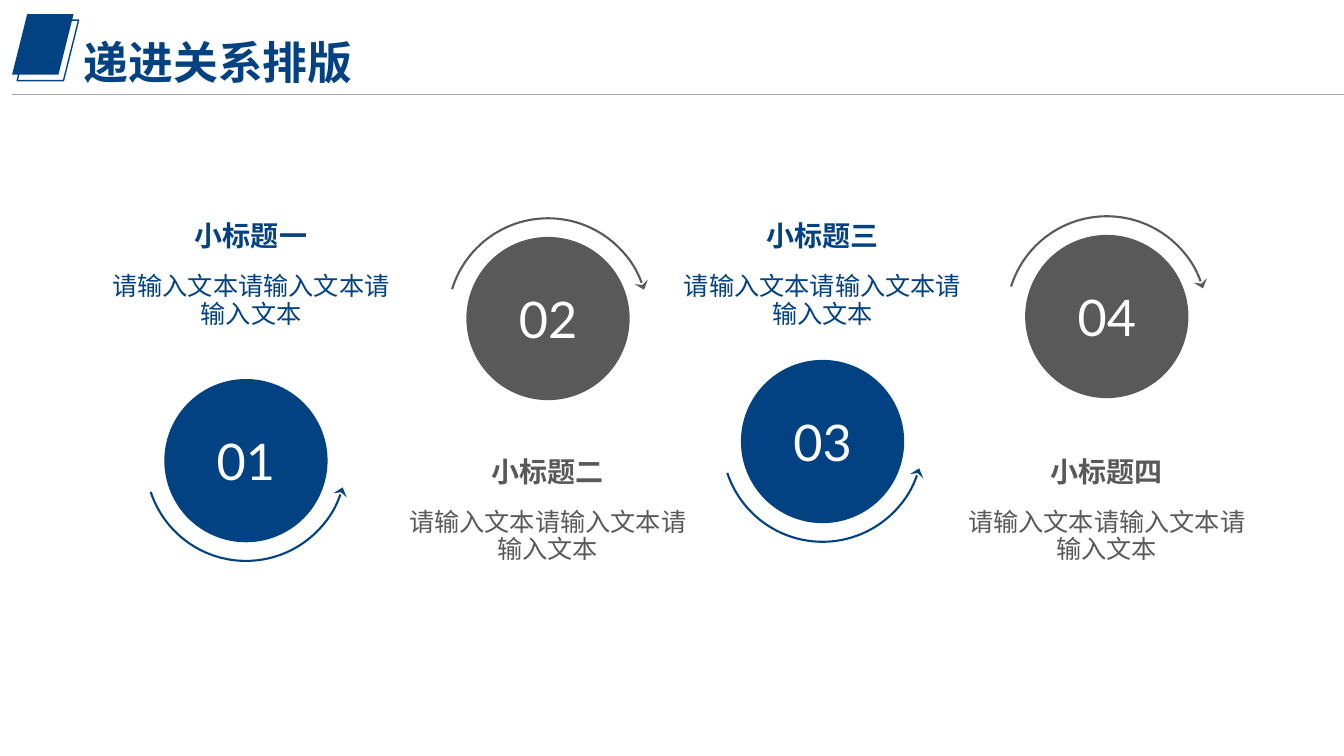
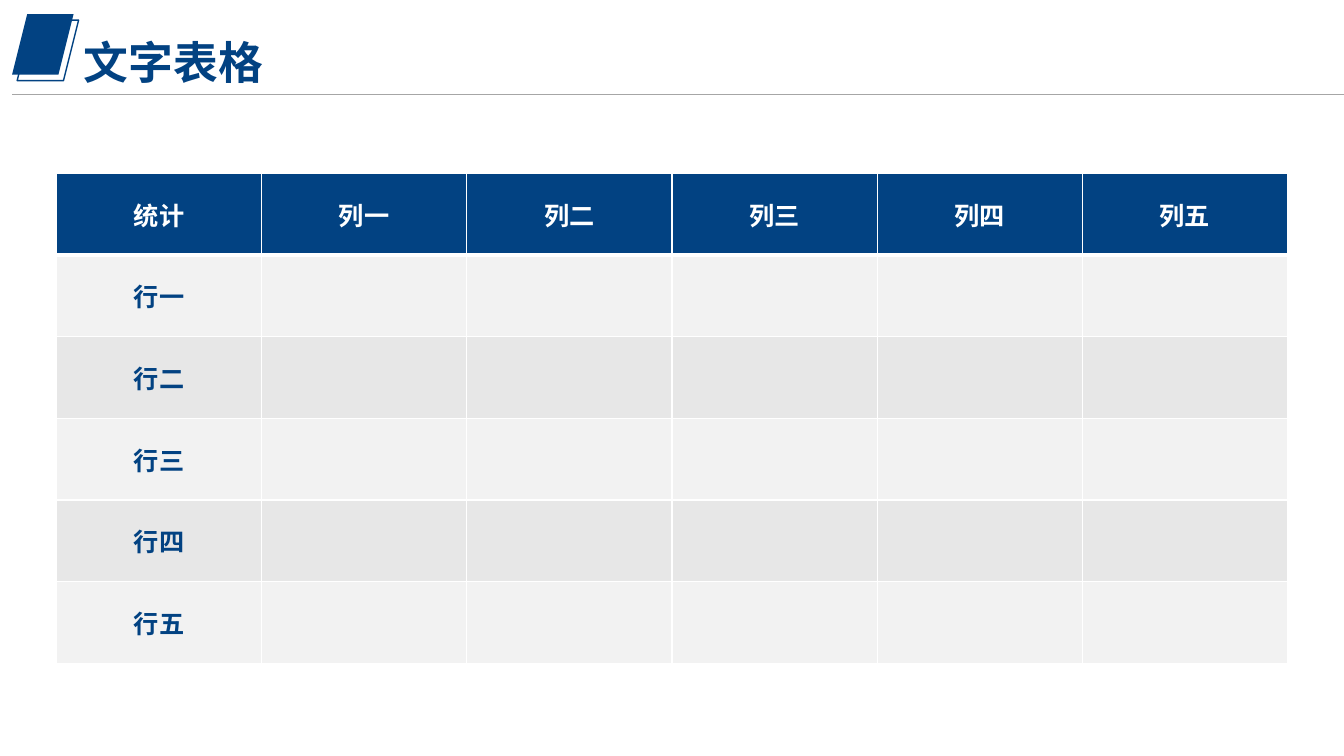
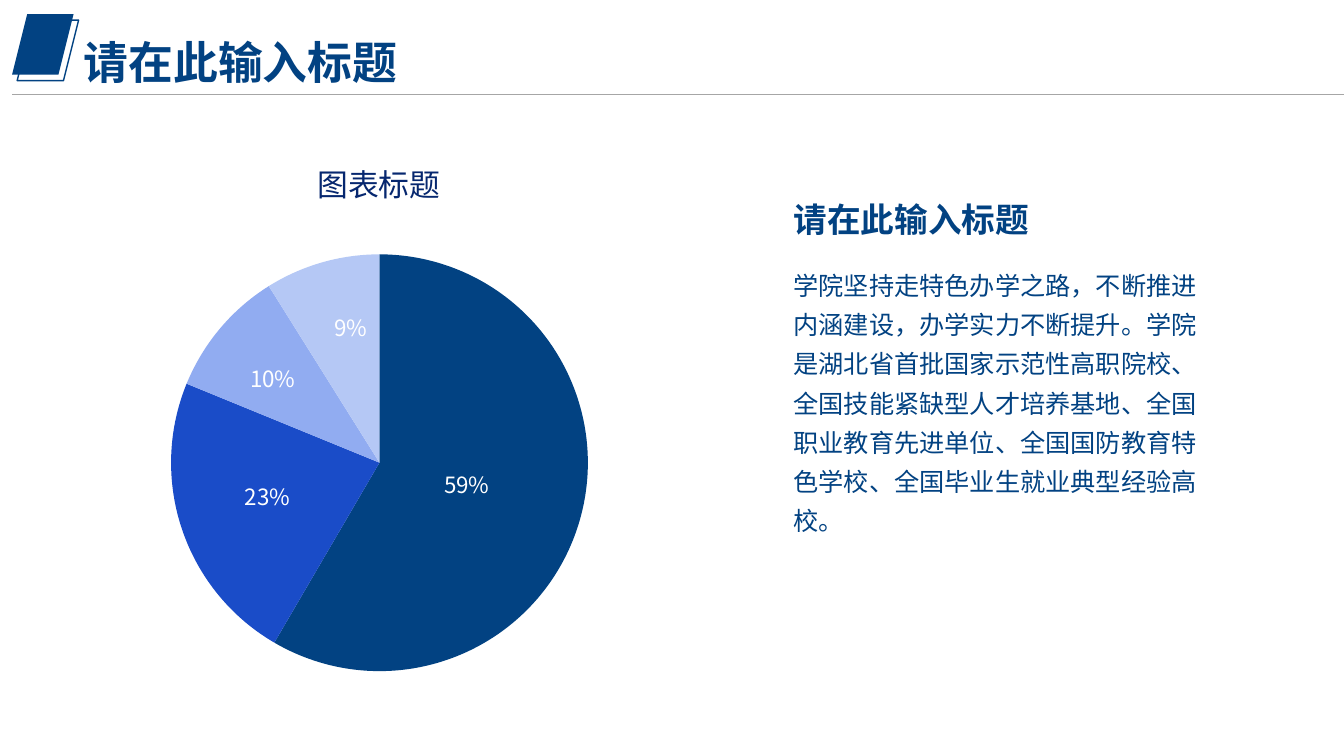
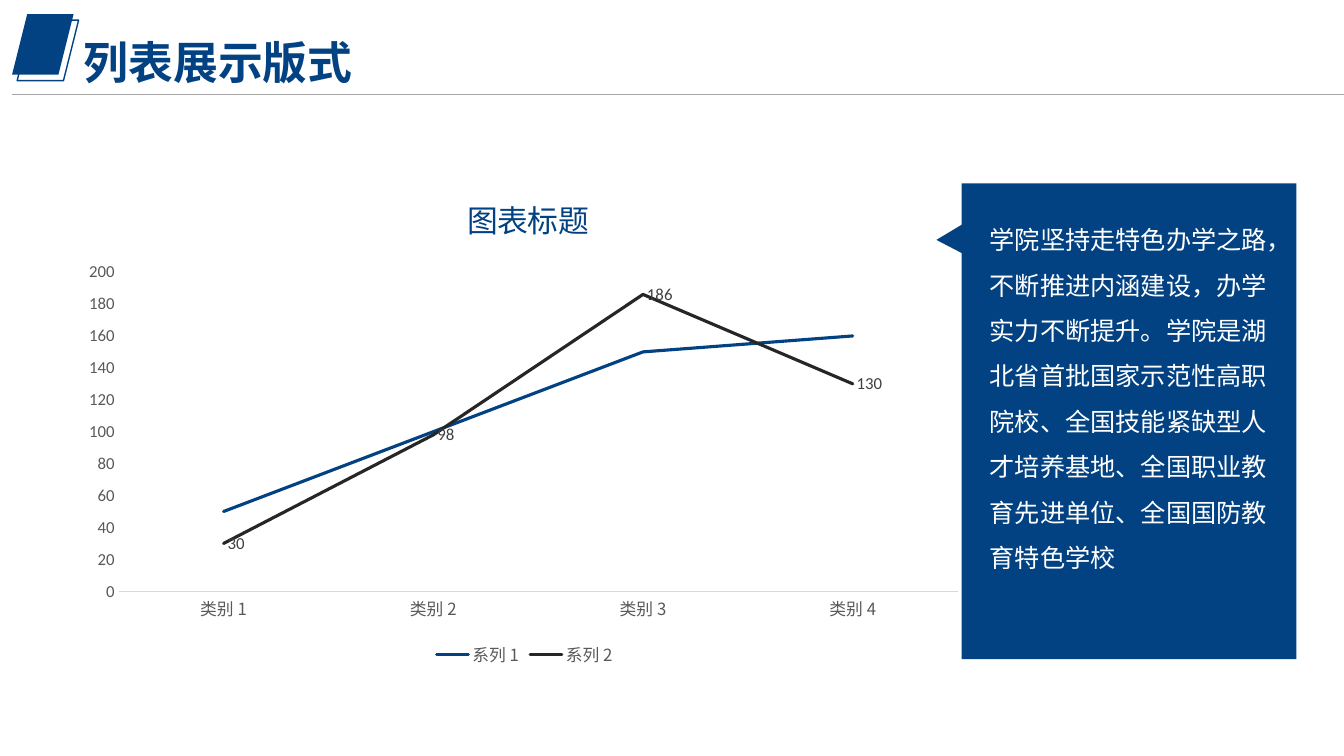
from copy import deepcopy
from dataclasses import dataclass

from lxml import etree
from pptx import Presentation, util as u
from pptx.chart.data import CategoryChartData
from pptx.dml.color import RGBColor
from pptx.enum import chart as charts, shapes, text
from pptx.oxml.ns import qn


@dataclass(frozen=True)
class Theme:
    blue: str = "024282"
    gray: str = "595959"
    white: str = "FFFFFF"
    rule: str = "A6A6A6"
    axis: str = "D9D9D9"
    ink: str = "262626"
    label: str = "404040"
    navy: str = "06276F"
    bands: tuple = ("F2F2F2", "E7E7E7")
    slices: tuple = ("024282", "1A4CC8", "91ACF1", "B5C8F5")
    chinese: str = "Noto Sans CJK SC"
    numerals: str = "Lato"
    figures: str = "Calibri"
    title: int = 32
    number: int = 36
    heading: int = 24
    chart_title: int = 22
    subtitle: int = 20
    body: int = 18
    percent: int = 16
    small: int = 12
    tight: float = 0.9


theme = Theme()
COLUMNS, ROWS = 40, 22.5
UNIT = u.Inches(13.333) / COLUMNS


def grid(*lengths):
    """Turn lengths in grid units into EMU."""
    return [u.Emu(round(length * UNIT)) for length in lengths]


def write(holder, words, size, color, bold=False, align=text.PP_ALIGN.LEFT,
          spacing=1.0, face=theme.chinese):
    """Put one formatted paragraph into anything that has a text frame."""
    frame = holder.text_frame
    frame.text = words
    frame.word_wrap = True
    paragraph = frame.paragraphs[0]
    paragraph.alignment = align
    paragraph.line_spacing = spacing
    for run in paragraph.runs:
        run.font.size = u.Pt(size)
        run.font.bold = bold
        run.font.name = face
        run.font.color.rgb = RGBColor.from_string(color)
        latin = run._r.rPr.find(qn("a:latin"))
        latin.addnext(latin.makeelement(qn("a:ea"), {"typeface": face}))


presentation = Presentation()
presentation.slide_width, presentation.slide_height = grid(COLUMNS, ROWS)
layout = presentation.slide_layouts[5]
for placeholder in list(layout.placeholders):
    if placeholder.placeholder_format.idx:
        layout.shapes.element.remove(placeholder.element)

# Slides and their titles
slides = []
for heading in ("递进关系排版", "文字表格", "请在此输入标题", "列表展示版式"):
    slide = presentation.slides.add_slide(layout)
    title = slide.shapes.title
    title.left, title.top, title.width, title.height = grid(2.19, 1.05, 16.53, 2.01)
    write(title, heading, theme.title, theme.blue, True, spacing=theme.tight)
    title.text_frame.vertical_anchor = text.MSO_ANCHOR.TOP
    title.text_frame.auto_size = text.MSO_AUTO_SIZE.NONE
    slides.append(slide)
steps_slide, table_slide, pie_slide, line_slide = slides

# Header band, kept on the layout
for left, top, filled in ((0.36, 0.42, True), (0.51, 0.6, False)):
    badge = steps_slide.shapes.add_shape(shapes.MSO_SHAPE.PARALLELOGRAM,
                                         *grid(left, top, 1.83, 1.8))
    badge.shadow.inherit = False
    if filled:
        badge.fill.solid()
        badge.fill.fore_color.rgb = RGBColor.from_string(theme.blue)
        badge.line.fill.background()
    else:
        badge.fill.background()
        badge.line.color.rgb = RGBColor.from_string(theme.blue)
        badge.line.width = u.Pt(1)
    layout.shapes.element.append(badge.element)
rule = steps_slide.shapes.add_connector(shapes.MSO_CONNECTOR.STRAIGHT,
                                        *grid(0.36, 2.82, COLUMNS, 2.82))
rule.line.color.rgb = RGBColor.from_string(theme.rule)
rule.line.width = u.Pt(0.5)
etree.SubElement(rule.element.spPr, qn("a:effectLst"))
layout.shapes.element.append(rule.element)

# Slide 1: four steps, captions alternating above and below
CIRCLE, ARC = 4.86, 5.97
steps = (
    ("01", "小标题一", 7.32, 13.71, 7.47, 132.4),
    ("02", "小标题二", 16.31, 9.48, 16.3, 46.4),
    ("03", "小标题三", 24.48, 13.14, 24.48, 132.4),
    ("04", "小标题四", 32.94, 9.42, 32.94, 46.8),
)
for index, (number, subtitle, x, y, caption_x, turn) in enumerate(steps):
    raised = index % 2 == 1
    color = theme.gray if raised else theme.blue

    circle = steps_slide.shapes.add_shape(
        shapes.MSO_SHAPE.OVAL, *grid(x - CIRCLE / 2, y - CIRCLE / 2, CIRCLE, CIRCLE))
    circle.shadow.inherit = False
    circle.fill.solid()
    circle.fill.fore_color.rgb = RGBColor.from_string(color)
    circle.line.fill.background()
    write(circle, number, theme.number, theme.white,
          align=text.PP_ALIGN.CENTER, face=theme.numerals)
    circle.text_frame.vertical_anchor = text.MSO_ANCHOR.MIDDLE

    arc = steps_slide.shapes.add_shape(
        shapes.MSO_SHAPE.ARC, *grid(x - ARC / 2, y - ARC / 2, ARC, ARC))
    arc.shadow.inherit = False
    arc.adjustments[0], arc.adjustments[1] = 145.86, 17.63
    arc.rotation = turn
    arc.fill.background()
    arc.line.color.rgb = RGBColor.from_string(color)
    arc.line.width = u.Pt(1.5)
    etree.SubElement(arc.element.spPr.find(qn("a:ln")), qn("a:headEnd"),
                     type="stealth", w="lg", len="med")
    if raised:
        arc.element.spPr.find(qn("a:xfrm")).set("flipH", "1")

    caption_top = 13.5 if raised else 6.48
    for words, size, bold, offset, width, height in (
            (subtitle, theme.subtitle, True, 0, 5.34, 1.44),
            ("请输入文本请输入文本请输入文本", theme.body, False, 1.53, 8.94, 2.34)):
        caption = steps_slide.shapes.add_textbox(
            *grid(caption_x - width / 2, caption_top + offset, width, height))
        write(caption, words, size, color, bold, text.PP_ALIGN.CENTER, theme.tight)

# Slide 2: table with a header row and banded rows
headers = ("统计", "列一", "列二", "列三", "列四", "列五")
row_names = ("行一", "行二", "行三", "行四", "行五")
rows = [headers] + [(name,) + ("",) * 5 for name in row_names]
table = table_slide.shapes.add_table(len(rows), len(headers),
                                     *grid(1.68, 5.16, 36.64, 14.58)).table
for row_index, row in enumerate(rows):
    for column_index, words in enumerate(row):
        cell = table.cell(row_index, column_index)
        cell.margin_left = cell.margin_right = u.Inches(0.14)
        cell.margin_top = cell.margin_bottom = u.Inches(0.07)
        cell.vertical_anchor = text.MSO_ANCHOR.MIDDLE
        for side in ("L", "R", "T", "B"):
            thick = (row_index, side) in ((0, "B"), (1, "T"))
            border = etree.SubElement(cell._tc.tcPr, qn(f"a:ln{side}"),
                                      w=str(u.Pt(3 if thick else 1)))
            paint = etree.SubElement(border, qn("a:solidFill"))
            etree.SubElement(paint, qn("a:srgbClr"), val=theme.white)
        fill = theme.bands[(row_index - 1) % 2] if row_index else theme.blue
        cell.fill.solid()
        cell.fill.fore_color.rgb = RGBColor.from_string(fill)
        if words:
            write(cell, words, theme.body, theme.blue if row_index else theme.white,
                  True, text.PP_ALIGN.CENTER)

# Slide 3: pie chart with text beside it
pie_data = CategoryChartData()
pie_data.categories = ("1", "2", "3", "4")
pie_data.add_series("Series 1", (59, 23, 10, 9))
pie = pie_slide.shapes.add_chart(charts.XL_CHART_TYPE.PIE,
                                 *grid(1.29, 3.99, 20.01, 17.79), pie_data).chart
pie.has_legend = False
pie_series = pie.plots[0].series[0]
pie_labels = pie_series.data_labels
pie_labels.show_value = True
pie_labels.show_percentage = False
pie_labels.number_format = '0"%"'
pie_labels.number_format_is_linked = False
pie_labels.position = charts.XL_LABEL_POSITION.CENTER
pie_labels.font.size = u.Pt(theme.percent)
pie_labels.font.name = theme.chinese
pie_labels.font.color.rgb = RGBColor.from_string(theme.white)

# Each slice has its colour and a label shifted by a share of the chart
label_group = pie_labels._element
for leader in label_group.findall(qn("c:showLeaderLines")):
    leader.set("val", "0")
label_parts = [part for part in label_group if part.tag != qn("c:showLeaderLines")]
label_shifts = ((-0.02, -0.01), (-0.02, 0), (-0.04, -0.03), (0, -0.06))
for index, (color, shift) in enumerate(zip(theme.slices, label_shifts)):
    point = pie_series.points[index]
    point.format.fill.solid()
    point.format.fill.fore_color.rgb = RGBColor.from_string(color)
    point.format.line.fill.background()
    label = label_group.makeelement(qn("c:dLbl"), {})
    label_group.insert(index, label)
    etree.SubElement(label, qn("c:idx"), val=str(index))
    manual = etree.SubElement(etree.SubElement(label, qn("c:layout")),
                              qn("c:manualLayout"))
    for name, share in zip("xy", shift):
        etree.SubElement(manual, qn(f"c:{name}"), val=str(share))
    label.extend(deepcopy(part) for part in label_parts)

pie_heading = pie_slide.shapes.add_textbox(*grid(23.25, 5.76, 7.74, 1.5))
write(pie_heading, "请在此输入标题", theme.heading, theme.blue, True, text.PP_ALIGN.CENTER)
pie_text = pie_slide.shapes.add_textbox(*grid(23.32, 7.62, 12.69, 8.46))
write(pie_text, "学院坚持走特色办学之路，不断推进内涵建设，办学实力不断提升。"
      "学院是湖北省首批国家示范性高职院校、全国技能紧缺型人才培养基地、"
      "全国职业教育先进单位、全国国防教育特色学校、全国毕业生就业典型经验高校。",
      theme.body, theme.blue, spacing=1.3)

# Slide 4: line chart with a callout
line_data = CategoryChartData()
line_data.categories = [f"类别 {number}" for number in range(1, 5)]
line_data.add_series("系列 1", (50, 100, 150, 160))
line_data.add_series("系列 2", (30, 98, 186, 130))
line = line_slide.shapes.add_chart(charts.XL_CHART_TYPE.LINE,
                                   *grid(2.19, 5.13, 26.85, 14.85), line_data).chart
for series, color in zip(line.plots[0].series, (theme.blue, theme.ink)):
    series.smooth = False
    series.marker.style = charts.XL_MARKER_STYLE.NONE
    series.format.line.color.rgb = RGBColor.from_string(color)
    series.format.line.width = u.Pt(2.25)
    next(series._element.iter(qn("a:ln"))).set("cap", "rnd")
line_labels = line.plots[0].series[1].data_labels
line_labels.show_value = True
line_labels.position = charts.XL_LABEL_POSITION.RIGHT

line.has_legend = True
line.legend.position = charts.XL_LEGEND_POSITION.BOTTOM
line.legend.include_in_layout = False
for axis in (line.category_axis, line.value_axis):
    axis.major_tick_mark = axis.minor_tick_mark = charts.XL_TICK_MARK.NONE
    axis.has_major_gridlines = False
line.category_axis.format.line.color.rgb = RGBColor.from_string(theme.axis)
line.category_axis.format.line.width = u.Pt(0.75)
line.value_axis.format.line.fill.background()
line.value_axis.minimum_scale = 0
line.value_axis.maximum_scale = 200
line.value_axis.major_unit = 20
for font, face, color in (
        (line.category_axis.tick_labels.font, theme.chinese, theme.gray),
        (line.value_axis.tick_labels.font, theme.figures, theme.gray),
        (line.legend.font, theme.chinese, theme.gray),
        (line_labels.font, theme.figures, theme.label)):
    font.size = u.Pt(theme.small)
    font.name = face
    font.color.rgb = RGBColor.from_string(color)

outline = [(28.62, 5.46), (38.58, 5.46), (38.58, 19.62), (28.62, 19.62),
           (28.62, 7.53), (27.87, 7.14), (28.62, 6.69)]
corners = [grid(*corner) for corner in outline]
builder = line_slide.shapes.build_freeform(*corners[0])
builder.add_line_segments(corners[1:], close=True)
callout = builder.convert_to_shape()
callout.shadow.inherit = False
callout.fill.solid()
callout.fill.fore_color.rgb = RGBColor.from_string(theme.blue)
callout.line.fill.background()
callout_text = line_slide.shapes.add_textbox(*grid(29.16, 6.09, 8.91, 11.04))
write(callout_text, "学院坚持走特色办学之路，不断推进内涵建设，办学实力不断提升。"
      "学院是湖北省首批国家示范性高职院校、全国技能紧缺型人才培养基地、"
      "全国职业教育先进单位、全国国防教育特色学校",
      theme.body, theme.white, spacing=1.5)

# Both charts: title, places as shares of the chart, East Asian fonts
for chart, color, title_place, plot_place in (
        (pie, theme.navy, (0.4, 0.03), (0.19, 0.2, 0.62, 0.7)),
        (line, theme.blue, (0.43, 0.03), (0.05, 0.2, 0.93, 0.64))):
    chart.plots[0].vary_by_categories = chart is pie
    chart.font.size = u.Pt(10)
    chart.font.name = theme.figures
    chart.has_title = True
    write(chart.chart_title, "图表标题", theme.chart_title, color,
          align=text.PP_ALIGN.CENTER)
    chart.chart_title.include_in_layout = False
    plot_area = next(chart._chartSpace.iter(qn("c:plotArea")))
    for position, parent, place in ((1, chart.chart_title._element, title_place),
                                    (0, plot_area, plot_place)):
        for old in parent.findall(qn("c:layout")):
            parent.remove(old)
        arrangement = parent.makeelement(qn("c:layout"), {})
        parent.insert(position, arrangement)
        manual = etree.SubElement(arrangement, qn("c:manualLayout"))
        if parent is plot_area:
            etree.SubElement(manual, qn("c:layoutTarget"), val="inner")
        for mode in ("xMode", "yMode"):
            etree.SubElement(manual, qn(f"c:{mode}"), val="edge")
        for name, share in zip("xywh", place):
            etree.SubElement(manual, qn(f"c:{name}"), val=str(share))
    for latin in list(chart._chartSpace.iter(qn("a:latin"))):
        if latin.getnext() is None:
            latin.addnext(latin.makeelement(qn("a:ea"), {"typeface": latin.get("typeface")}))

presentation.save("out.pptx")
